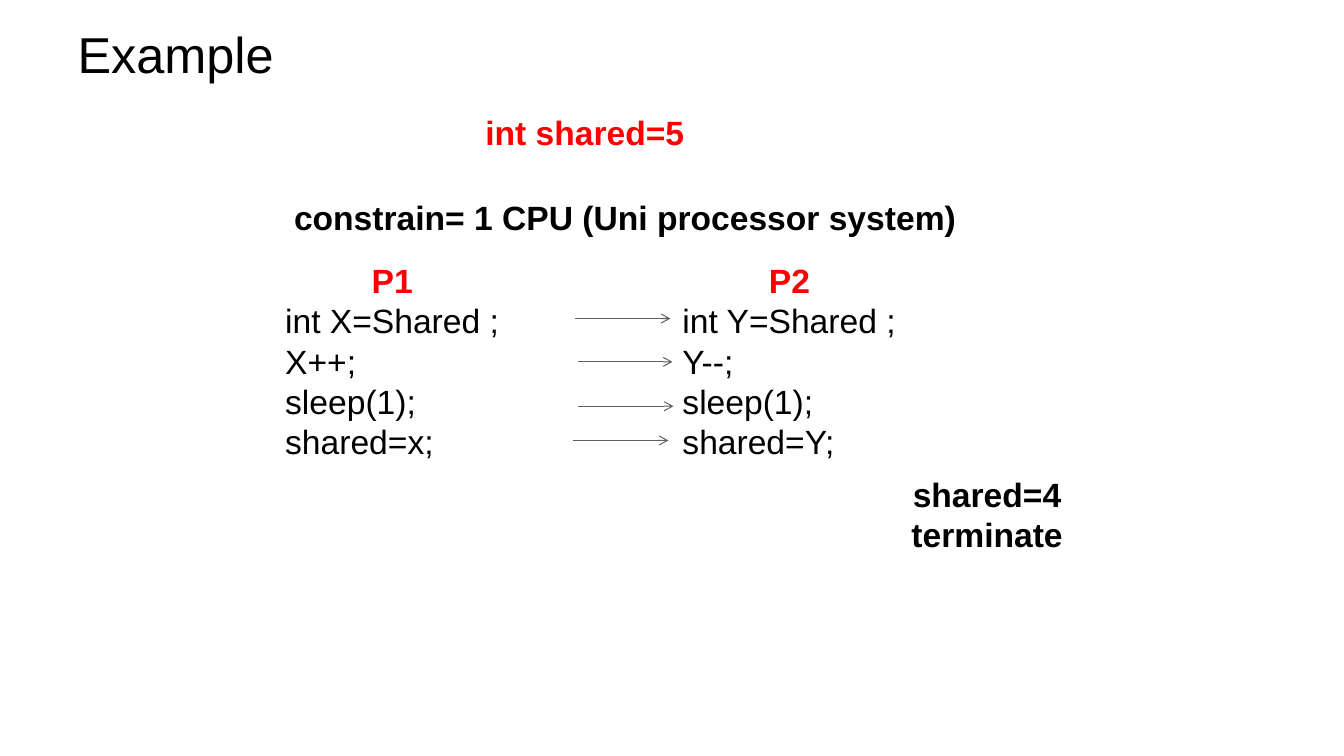
"""Build a slide that traces two processes sharing one variable."""
from dataclasses import dataclass
from typing import Optional

from lxml import etree
from pptx import Presentation
from pptx.dml.color import RGBColor
from pptx.enum import shapes, text
from pptx.oxml import ns
from pptx.shapes.autoshape import Shape
from pptx.shapes.connector import Connector
from pptx.slide import Slide
from pptx.util import Inches, Pt

COLORS = {"text": "000000", "accent": "FF0000", "arrow": "5F5F5F"}
FONT = "Arial"
ARROW_LENGTH = 0.95
PROCESS_TOP, PROCESS_WIDTH, PROCESS_HEIGHT = 2.53, 2.32, 2.12


@dataclass(frozen=True)
class Box:
    left: float
    top: float
    width: float
    height: float
    headings: tuple[str, ...]
    color: str = "text"
    code: tuple[str, ...] = ()


@dataclass(frozen=True)
class Arrow:
    left: float
    top: float
    joins_process: bool = False


def process(left: float, name: str, *code: str) -> Box:
    return Box(left, PROCESS_TOP, PROCESS_WIDTH, PROCESS_HEIGHT, (name,), "accent", code)


P1 = process(2.73, "P1", "int X=Shared ;", "X++;", "sleep(1);", "shared=x;")
P2 = process(6.67, "P2", "int Y=Shared ;", "Y--;", "sleep(1);", "shared=Y;")
NOTES = (
    Box(4.64, 1.06, 2.32, 0.5, ("int shared=5",), "accent"),
    Box(1.58, 1.9, 9.24, 0.5, ("constrain= 1 CPU (Uni processor system)",)),
    Box(8.52, 4.65, 2.54, 0.91, ("shared=4", "terminate")),
)
ARROWS = (
    Arrow(5.7, 3.16),
    Arrow(5.73, 3.59, joins_process=True),
    Arrow(5.73, 4.03),
    Arrow(5.68, 4.37),
)


def format_runs(p, size: int, color: str, bold: bool = False) -> None:
    for r in p.runs:
        r.font.name = FONT
        r.font.size = Pt(size)
        r.font.bold = bold
        r.font.color.rgb = RGBColor.from_string(COLORS[color])


def set_title(slide: Slide, title: str) -> None:
    sp = slide.shapes.title
    sp.left, sp.top, sp.width, sp.height = map(Inches, (0.67, 0.21, 12, 0.64))
    tf = sp.text_frame
    tf.text = title
    tf.auto_size = text.MSO_AUTO_SIZE.NONE
    tf.vertical_anchor = text.MSO_ANCHOR.MIDDLE
    p = tf.paragraphs[0]
    p.alignment = text.PP_ALIGN.LEFT
    format_runs(p, 36, "text")


def add_box(slide: Slide, box: Box) -> Shape:
    sp = slide.shapes.add_textbox(*map(Inches, (box.left, box.top, box.width, box.height)))
    tf = sp.text_frame
    tf.word_wrap = True
    tf.auto_size = text.MSO_AUTO_SIZE.SHAPE_TO_FIT_TEXT
    tf.text = "\n".join(box.headings + box.code)
    for i, p in enumerate(tf.paragraphs):
        heading = i < len(box.headings)
        p.alignment = text.PP_ALIGN.CENTER if heading else text.PP_ALIGN.LEFT
        format_runs(p, 24, box.color if heading else "text", heading)
    return sp


def add_arrow(slide: Slide, arrow: Arrow, target: Optional[Shape] = None) -> Connector:
    ends = (arrow.left, arrow.top, arrow.left + ARROW_LENGTH, arrow.top)
    sp = slide.shapes.add_connector(shapes.MSO_CONNECTOR.STRAIGHT, *map(Inches, ends))
    if target is not None:
        sp.end_connect(target, 1)
    sp.line.width = Pt(0.75)
    sp.line.color.rgb = RGBColor.from_string(COLORS["arrow"])
    etree.SubElement(sp.line._get_or_add_ln(), ns.qn("a:tailEnd"), type="arrow")
    etree.SubElement(sp._element.spPr, ns.qn("a:effectLst"))
    return sp


def main() -> None:
    prs = Presentation()
    prs.slide_width, prs.slide_height = Inches(13.33), Inches(7.5)
    slide = prs.slides.add_slide(prs.slide_layouts.get_by_name("Title Only"))
    set_title(slide, "Example")
    add_box(slide, P1)
    p2_box = add_box(slide, P2)
    for note in NOTES:
        add_box(slide, note)
    for arrow in ARROWS:
        add_arrow(slide, arrow, p2_box if arrow.joins_process else None)
    prs.save("out.pptx")


if __name__ == "__main__":
    main()
